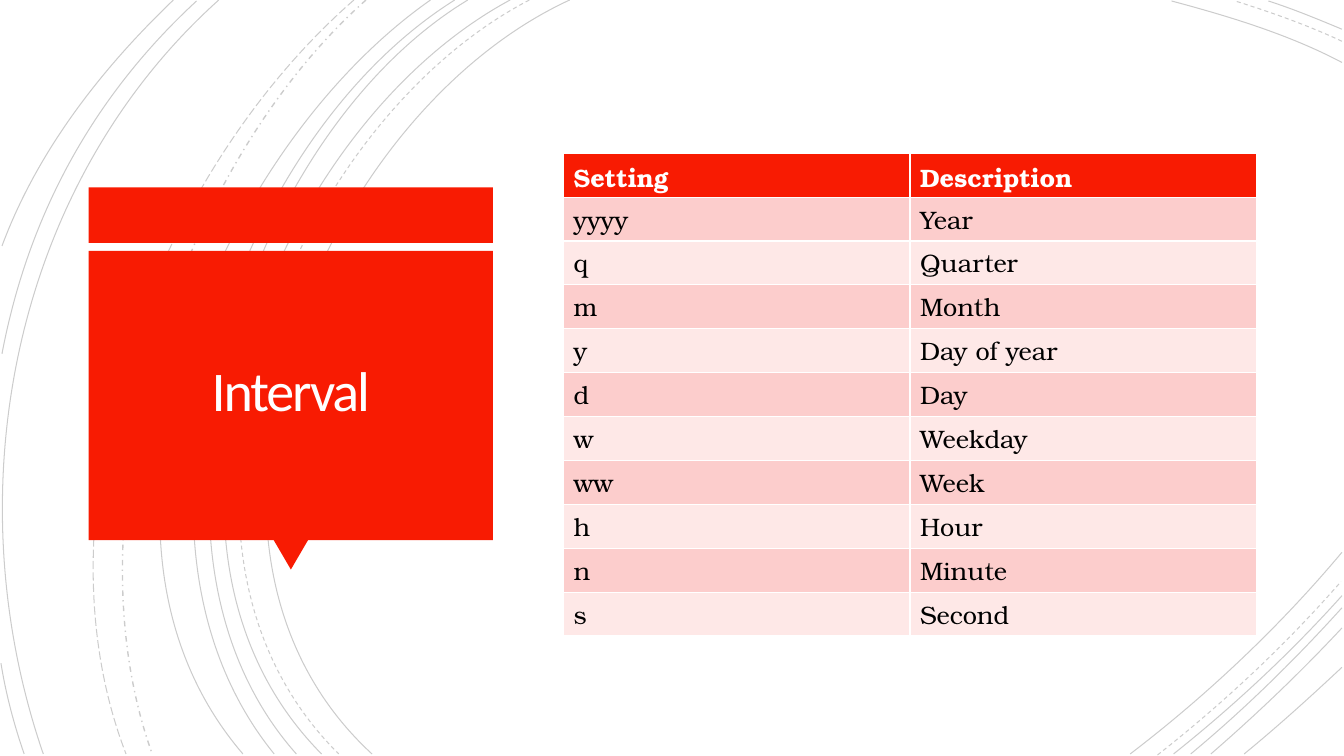
from dataclasses import dataclass

from lxml.etree import SubElement
from pptx import Presentation
from pptx.dml.color import RGBColor
from pptx.enum.dml import MSO_LINE
from pptx.enum.shapes import MSO_SHAPE
from pptx.enum.text import MSO_ANCHOR, PP_ALIGN
from pptx.oxml.ns import qn
from pptx.util import Pt

EMU_PER_PX = 9144


@dataclass(frozen=True)
class Theme:
    accent: str = "F81B02"
    band_dark: str = "FCCDCC"
    band_light: str = "FEE8E7"
    arc: str = "000000"
    arc_alpha: int = 20000
    title_color: str = "FFFEFF"
    header_color: str = "FFFFFF"
    body_color: str = "000000"
    title_font: str = "Calibri"
    table_font: str = "TeX Gyre Bonum"
    title_size: int = 40
    table_size: int = 18


THEME = Theme()

SOLID, DASH = MSO_LINE.SOLID, MSO_LINE.DASH
ARCS = [
    (SOLID, 0.75, [(565, 0), (315, 115), (143, 540), (369, 748)]),
    (SOLID, 0.75, [(1331, 62), (1278, 34), (1218, 16), (1162, 1)]),
    (SOLID, 0.75, [(1121, 748), (1197, 690), (1269, 622), (1331, 548)]),
    (DASH, 0.75, [(525, 0), (285, 125), (123, 537), (336, 748)]),
    (DASH, 0.75, [(1331, 41), (1297, 25), (1260, 12), (1225, 1)]),
    (DASH, 0.75, [(1148, 749), (1213, 698), (1275, 640), (1330, 577)]),
    (SOLID, 0.75, [(506, 0), (270, 127), (110, 537), (319, 748)]),
    (SOLID, 0.75, [(1331, 29), (1307, 19), (1283, 9), (1258, 1)]),
    (SOLID, 0.75, [(1164, 748), (1223, 701), (1280, 648), (1331, 591)]),
    (SOLID, 0.75, [(464, 0), (244, 133), (110, 541), (294, 748)]),
    (SOLID, 0.75, [(1181, 748), (1234, 704), (1284, 655), (1331, 603)]),
    (SOLID, 0.75, [(451, 0), (231, 138), (97, 533), (272, 748)]),
    (SOLID, 0.75, [(1201, 748), (1246, 709), (1290, 667), (1331, 623)]),
    (SOLID, 0.75, [(427, 0), (217, 147), (53, 529), (241, 748)]),
    (SOLID, 0.75, [(1234, 748), (1267, 721), (1299, 692), (1331, 662)]),
    (MSO_LINE.DASH_DOT, 1, [(363, 0), (176, 166), (65, 509), (151, 748)]),
    (MSO_LINE.LONG_DASH, 0.75, [(351, 0), (157, 169), (29, 499), (125, 748)]),
    (SOLID, 0.75, [(217, 0), (11, 185), (-46, 490), (43, 748)]),
    (SOLID, 0.75, [(195, 1), (92, 96), (28, 214), (2, 351)]),
    (SOLID, 0.75, [(1, 658), (6, 689), (14, 719), (24, 748)]),
    (SOLID, 0.75, [(172, 0), (100, 69), (37, 150), (2, 244)]),
]

INTERVALS = [
    ("Setting", "Description"),
    ("yyyy", "Year"),
    ("q", "Quarter"),
    ("m", "Month"),
    ("y", "Day of year"),
    ("d", "Day"),
    ("w", "Weekday"),
    ("ww", "Week"),
    ("h", "Hour"),
    ("n", "Minute"),
    ("s", "Second"),
]


def px(length):
    return length * EMU_PER_PX


def rgb(color):
    return RGBColor.from_string(color)


def write(frame, text, *, font, size, color, bold=False,
          align=PP_ALIGN.LEFT, line_spacing=None, tracking=None):
    paragraph = frame.paragraphs[0]
    paragraph.alignment = align
    paragraph.line_spacing = line_spacing
    run = paragraph.add_run()
    run.text = text
    run.font.name = font
    run.font.size = Pt(size)
    run.font.bold = bold
    run.font.color.rgb = rgb(color)
    if tracking is not None:
        run.font._element.set("spc", str(tracking))


def draw_arc(slide, origin, dash, weight, points):
    builder = slide.shapes.build_freeform(*points[0], scale=EMU_PER_PX)
    builder.add_line_segments(points[1:], close=False)
    arc = builder.convert_to_shape(*map(px, origin))
    path = next(arc.element.iter(qn("a:path")))
    segments = path.findall(qn("a:lnTo"))
    curve = SubElement(path, qn("a:cubicBezTo"))
    for segment in segments:
        curve.append(segment[0])
        path.remove(segment)
    arc.shadow.inherit = False
    arc.fill.background()
    arc.line.color.rgb = rgb(THEME.arc)
    arc.line.width = Pt(weight)
    arc.line.dash_style = dash
    line_color = next(arc.element.spPr.iter(qn("a:srgbClr")))
    SubElement(line_color, qn("a:alpha"), val=str(THEME.arc_alpha))


def draw_backdrop(slide, left, top):
    for dash, weight, points in ARCS:
        draw_arc(slide, (left, top), dash, weight, points)


def draw_block(slide, kind, left, top, width, height):
    block = slide.shapes.add_shape(kind, px(left), px(top), px(width), px(height))
    block.shadow.inherit = False
    block.fill.solid()
    block.fill.fore_color.rgb = rgb(THEME.accent)
    block.line.fill.background()
    return block


def draw_title_panel(slide, left, top, width, height, title):
    strip_height, gap, pointer_width, pointer_height = 55, 8, 35, 30
    panel_top = top + strip_height + gap
    panel_height = height - strip_height - gap - pointer_height
    draw_block(slide, MSO_SHAPE.RECTANGLE, left, top, width, strip_height)
    pointer = draw_block(slide, MSO_SHAPE.ISOSCELES_TRIANGLE,
                         left + (width - pointer_width) // 2,
                         panel_top + panel_height - 1,
                         pointer_width, pointer_height)
    pointer.rotation = 180
    draw_block(slide, MSO_SHAPE.RECTANGLE, left, panel_top, width, panel_height)

    heading = slide.shapes.add_textbox(px(left + 9), px(panel_top + 8),
                                       px(width - 18), px(panel_height - 18))
    frame = heading.text_frame
    frame.word_wrap = True
    frame.vertical_anchor = MSO_ANCHOR.MIDDLE
    frame.margin_left = frame.margin_right = px(25)
    frame.margin_top = frame.margin_bottom = px(25)
    write(frame, title, font=THEME.title_font, size=THEME.title_size,
          color=THEME.title_color, align=PP_ALIGN.CENTER,
          line_spacing=0.85, tracking=-150)


def draw_interval_table(slide, left, top, width, height, rows):
    table = slide.shapes.add_table(len(rows), len(rows[0]), px(left), px(top),
                                   px(width), px(height)).table
    for row_index, row in enumerate(rows):
        header = row_index == 0
        band = THEME.band_dark if row_index % 2 else THEME.band_light
        for column_index, text in enumerate(row):
            cell = table.cell(row_index, column_index)
            cell.fill.solid()
            cell.fill.fore_color.rgb = rgb(THEME.accent if header else band)
            write(cell.text_frame, text, font=THEME.table_font,
                  size=THEME.table_size, bold=header,
                  color=THEME.header_color if header else THEME.body_color)


def main():
    presentation = Presentation()
    presentation.slide_width = px(1333)
    presentation.slide_height = px(750)
    slide = presentation.slides.add_slide(presentation.slide_layouts[6])
    draw_backdrop(slide, 0, 0)
    draw_title_panel(slide, 88, 186, 401, 380, "Interval")
    draw_interval_table(slide, 559, 152, 687, 479, INTERVALS)
    presentation.save("out.pptx")


if __name__ == "__main__":
    main()
